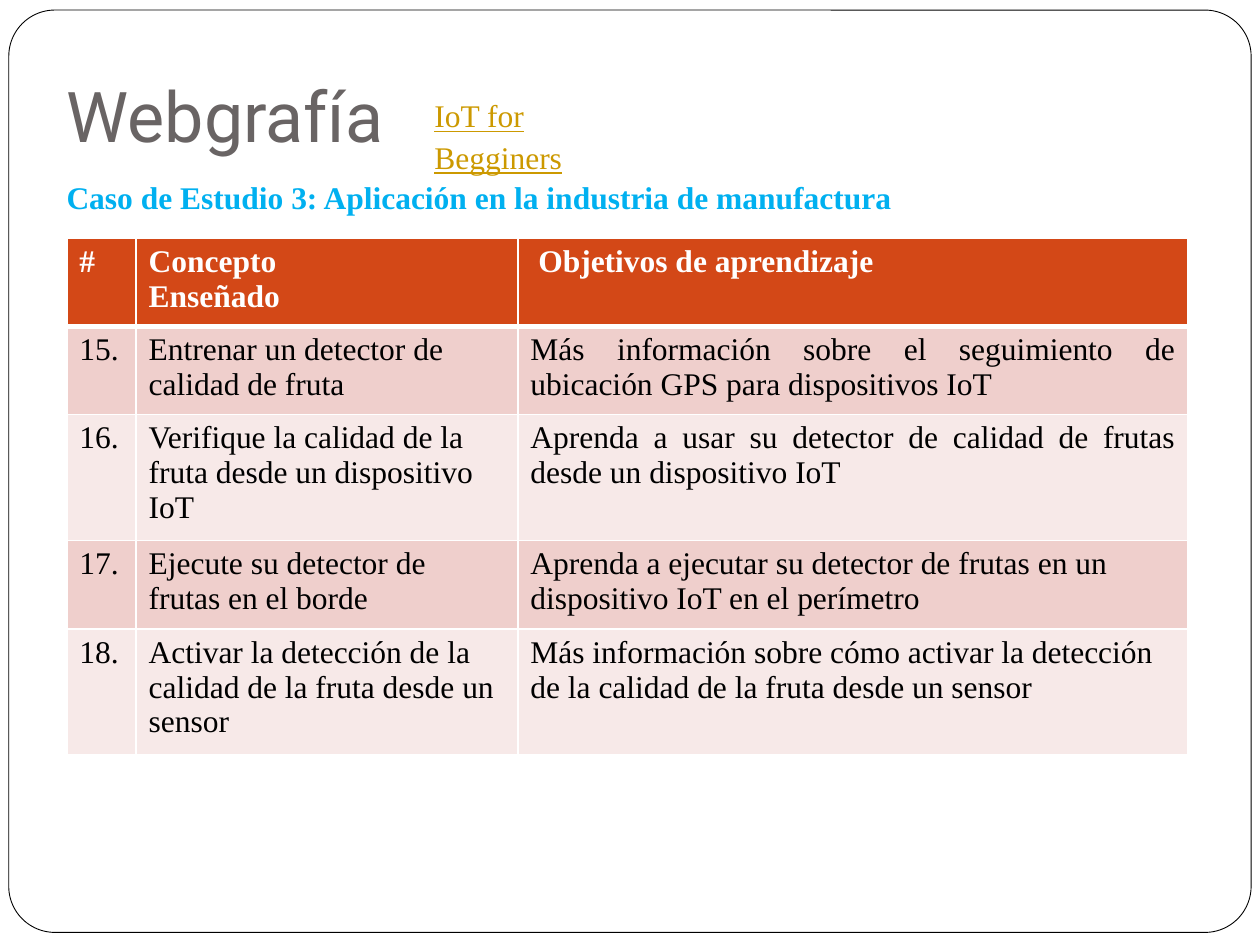
"""Build the web references slide with its table of taught concepts."""
from dataclasses import dataclass

from lxml import etree
from pptx import Presentation
from pptx.dml.color import RGBColor
from pptx.enum.shapes import MSO_SHAPE
from pptx.enum.text import MSO_ANCHOR, MSO_AUTO_SIZE, PP_ALIGN
from pptx.oxml.ns import qn
from pptx.util import Inches, Pt

ROUNDED = MSO_SHAPE.ROUNDED_RECTANGLE
BOTTOM = MSO_ANCHOR.BOTTOM
NO_FIT = MSO_AUTO_SIZE.NONE
GROW = MSO_AUTO_SIZE.SHAPE_TO_FIT_TEXT
LEFT, JUSTIFY = PP_ALIGN.LEFT, PP_ALIGN.JUSTIFY

COLORS = {
    "white": "FFFFFF",
    "black": "000000",
    "title": "696464",
    "link": "CC9900",
    "subtitle": "00B0F0",
    "header": "D34817",
    "odd_row": "EFCFCC",
    "even_row": "F7E9E8",
}
BODY_FORMAT = {"name": "Times New Roman", "size": Pt(18), "bold": False}
HEADER_FORMAT = {**BODY_FORMAT, "bold": True}
LINK_FORMAT = {**BODY_FORMAT, "underline": True}
TITLE_FORMAT = {"name": "Roboto", "size": Pt(40), "bold": False}
TITLE_FRAME = {
    "margin_left": Inches(0.1), "margin_right": Inches(0.1),
    "margin_top": Inches(0.05), "margin_bottom": Inches(0.1),
    "vertical_anchor": BOTTOM, "auto_size": NO_FIT, "word_wrap": True,
}
LABEL_FRAME = {"word_wrap": True, "auto_size": GROW}
LABEL_SPACING = 1.09
COLUMN_WIDTHS = (0.55, 3.03, 5.32)


@dataclass(frozen=True)
class Label:
    text: str
    box: tuple
    color: str
    font_format: dict


@dataclass(frozen=True)
class Row:
    number: str
    concept: str
    goal: str
    height: float
    goal_alignment: PP_ALIGN = LEFT


LABELS = (
    Label("IoT for Begginers", (3.35, 0.69, 1.97, 0.4), "link", LINK_FORMAT),
    Label("Caso de Estudio 3: Aplicación en la industria de manufactura",
          (0.43, 1.34, 7.07, 0.4), "subtitle", HEADER_FORMAT),
)
ROWS = (
    Row("#", "Concepto\nEnseñado", " Objetivos de aprendizaje", 0.7),
    Row("15.", "Entrenar un detector de calidad de fruta",
        "Más información sobre el seguimiento de ubicación GPS para dispositivos IoT",
        0.7, JUSTIFY),
    Row("16.", "Verifique la calidad de la fruta desde un dispositivo IoT",
        "Aprenda a usar su detector de calidad de frutas desde un dispositivo IoT",
        1.0, JUSTIFY),
    Row("17.", "Ejecute su detector de frutas en el borde",
        "Aprenda a ejecutar su detector de frutas en un dispositivo IoT en el perímetro",
        0.7),
    Row("18.", "Activar la detección de la calidad de la fruta desde un sensor",
        "Más información sobre cómo activar la detección de la calidad de la fruta "
        "desde un sensor", 1.0),
)


def rgb(name: str) -> RGBColor:
    return RGBColor.from_string(COLORS[name])


def apply_format(target, values: dict) -> None:
    for name, value in values.items():
        setattr(target, name, value)


def write_text(text_frame, text: str, color: str, font_format: dict,
               alignment: PP_ALIGN = LEFT, spacing: float = 1.0) -> None:
    text_frame.text = text
    for paragraph in text_frame.paragraphs:
        paragraph.alignment = alignment
        paragraph.line_spacing = spacing
        for run in paragraph.runs:
            apply_format(run.font, font_format)
            run.font.color.rgb = rgb(color)


def draw_frame(slide) -> None:
    frame = slide.shapes.add_shape(
        ROUNDED, *map(Inches, (0.07, 0.08, 9.86, 7.32)))
    frame.adjustments[0] = 0.05
    frame.shadow.inherit = False
    frame.fill.solid()
    frame.fill.fore_color.rgb = rgb("white")
    frame.line.color.rgb = rgb("black")
    frame.line.width = Pt(0.5)
    slide.shapes.title.element.addprevious(frame.element)


def draw_title(slide) -> None:
    title = slide.shapes.title
    left, top, width, height = map(Inches, (0.43, 0.44, 3.05, 0.9))
    apply_format(title, {"left": left, "top": top, "width": width, "height": height})
    apply_format(title.text_frame, TITLE_FRAME)
    write_text(title.text_frame, "Webgrafía", "title", TITLE_FORMAT)


def draw_label(slide, label: Label) -> None:
    text_frame = slide.shapes.add_textbox(*map(Inches, label.box)).text_frame
    apply_format(text_frame, LABEL_FRAME)
    write_text(text_frame, label.text, label.color, label.font_format,
               spacing=LABEL_SPACING)


def set_borders(cell, widths: dict) -> None:
    properties = cell._tc.get_or_add_tcPr()
    for side, width in widths.items():
        line = etree.SubElement(properties, qn(f"a:ln{side}"), w=str(Pt(width)))
        fill = etree.SubElement(line, qn("a:solidFill"))
        etree.SubElement(fill, qn("a:srgbClr"), val=COLORS["white"])


def draw_table(slide) -> None:
    total_height = sum(row.height for row in ROWS)
    table = slide.shapes.add_table(
        len(ROWS), len(COLUMN_WIDTHS), Inches(0.53), Inches(1.89),
        Inches(sum(COLUMN_WIDTHS)), Inches(total_height)).table
    for column, width in zip(table.columns, COLUMN_WIDTHS):
        column.width = Inches(width)
    for index, row in enumerate(ROWS):
        is_header = index == 0
        table.rows[index].height = Inches(row.height)
        fill = "header" if is_header else "odd_row" if index % 2 else "even_row"
        text_color = "white" if is_header else "black"
        font_format = HEADER_FORMAT if is_header else BODY_FORMAT
        borders = {"L": 1, "R": 1, "T": 3 if index == 1 else 1,
                   "B": 3 if is_header else 1}
        contents = ((row.number, LEFT), (row.concept, LEFT),
                    (row.goal, row.goal_alignment))
        for column, (text, alignment) in enumerate(contents):
            cell = table.cell(index, column)
            set_borders(cell, borders)
            cell.fill.solid()
            cell.fill.fore_color.rgb = rgb(fill)
            write_text(cell.text_frame, text, text_color, font_format, alignment)


def main() -> None:
    presentation = Presentation()
    presentation.slide_width = Inches(10)
    presentation.slide_height = Inches(7.5)
    slide = presentation.slides.add_slide(presentation.slide_layouts[5])
    draw_frame(slide)
    draw_title(slide)
    draw_table(slide)
    for label in LABELS:
        draw_label(slide, label)
    presentation.save("out.pptx")


if __name__ == "__main__":
    main()
